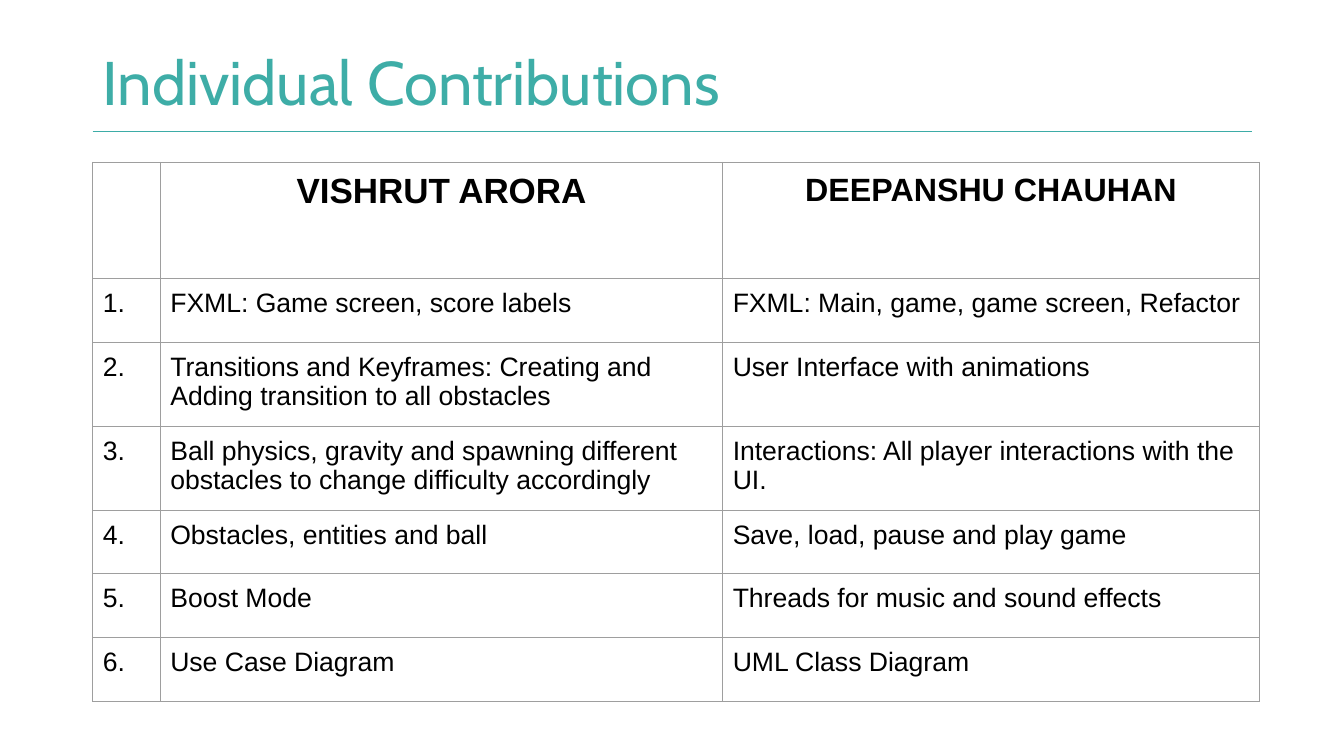
import pptx
import pptx.dml.color
import pptx.enum.shapes
import pptx.enum.text
import pptx.oxml
import pptx.oxml.ns
import pptx.util

Pt = pptx.util.Pt
RGBColor = pptx.dml.color.RGBColor
Align = pptx.enum.text.PP_ALIGN
Anchor = pptx.enum.text.MSO_ANCHOR

TEAL = RGBColor(0x3E, 0xAD, 0xA7)
RULE = RGBColor(0x3D, 0xAC, 0xA7)
BLACK = RGBColor(0, 0, 0)
GREY = RGBColor(0x9E, 0x9E, 0x9E)
LEFT = Pt(66.24)
WIDTHS = (48.24, 401.76, 383.76)
HEAD_H, ROW_H = 82.8, 45.6
HEADS = (("", 19), ("VISHRUT ARORA", 25), ("DEEPANSHU CHAUHAN", 23))
TASKS = (
    ("FXML: Game screen, score labels",
     "FXML: Main, game, game screen, Refactor"),
    ("Transitions and Keyframes: Creating and Adding transition to all obstacles",
     "User Interface with animations"),
    ("Ball physics, gravity and spawning different obstacles to change "
     "difficulty accordingly",
     "Interactions: All player interactions with the UI."),
    ("Obstacles, entities and ball", "Save, load, pause and play game"),
    ("Boost Mode", "Threads for music and sound effects"),
    ("Use Case Diagram", "UML Class Diagram"),
)


def assign(target, values):
    """Set each named attribute on the target."""
    for name, value in values.items():
        setattr(target, name, value)


def write(frame, text, size, color, face, bold=False, align=Align.LEFT, gap=1.0):
    """Put one styled paragraph in a text frame."""
    para = frame.paragraphs[0]
    assign(para, {"alignment": align, "line_spacing": gap})
    run = para.add_run()
    run.text = text
    assign(run.font, {"size": Pt(size), "name": face, "bold": bold})
    run.font.color.rgb = color


def add_title(slide, text):
    """Add the slide title."""
    frame = slide.shapes.add_textbox(LEFT, Pt(28.8), Pt(743.76), Pt(64.8)).text_frame
    assign(frame, {"word_wrap": True, "vertical_anchor": Anchor.MIDDLE})
    write(frame, text, 44, TEAL, "Cabin", gap=0.9)


def add_rule(slide):
    """Add the thin line below the title."""
    line = slide.shapes.add_connector(
        pptx.enum.shapes.MSO_CONNECTOR.STRAIGHT, LEFT, Pt(93.6), Pt(894.24), Pt(93.6))
    line.line.color.rgb = RULE
    line.line.width = Pt(0.75)
    props = line._element.spPr
    props.append(props.makeelement(pptx.oxml.ns.qn("a:effectLst"), {}))


def add_edges(cell):
    """Draw the four cell borders."""
    props = cell._tc.get_or_add_tcPr()
    for place, side in enumerate(("lnL", "lnR", "lnT", "lnB")):
        props.insert(place, pptx.oxml.parse_xml(
            f'<a:{side} {pptx.oxml.ns.nsdecls("a")} w="{Pt(0.75)}">'
            f'<a:solidFill><a:srgbClr val="{GREY}"/></a:solidFill></a:{side}>'))


def fill_cell(cell, text, size, **style):
    """Format a cell and write its text."""
    pad = Pt(7.2)
    assign(cell, {"margin_left": pad, "margin_right": pad,
                  "margin_top": pad, "margin_bottom": pad,
                  "vertical_anchor": Anchor.TOP})
    cell.fill.background()
    add_edges(cell)
    if text:
        write(cell.text_frame, text, size, BLACK, "Arial", **style)


def add_grid(slide):
    """Add the table of numbered tasks per person."""
    count = len(TASKS) + 1
    grid = slide.shapes.add_table(
        count, len(WIDTHS), LEFT, Pt(115.92), Pt(sum(WIDTHS)),
        Pt(HEAD_H + ROW_H * len(TASKS))).table
    assign(grid, {"first_row": False, "horz_banding": False})
    for col, width in zip(grid.columns, WIDTHS):
        col.width = Pt(width)
    for num, row in enumerate(grid.rows):
        row.height = Pt(ROW_H if num else HEAD_H)
    for col, (name, size) in enumerate(HEADS):
        fill_cell(grid.cell(0, col), name, size, bold=True, align=Align.CENTER)
    for num, tasks in enumerate(TASKS, 1):
        for col, text in enumerate((f"{num}.", *tasks)):
            fill_cell(grid.cell(num, col), text, 19)


def main():
    """Build and save the slide."""
    deck = pptx.Presentation()
    assign(deck, {"slide_width": Pt(960), "slide_height": Pt(540)})
    slide = deck.slides.add_slide(deck.slide_layouts[6])
    add_title(slide, "Individual Contributions")
    add_rule(slide)
    add_grid(slide)
    deck.save("out.pptx")


main()
